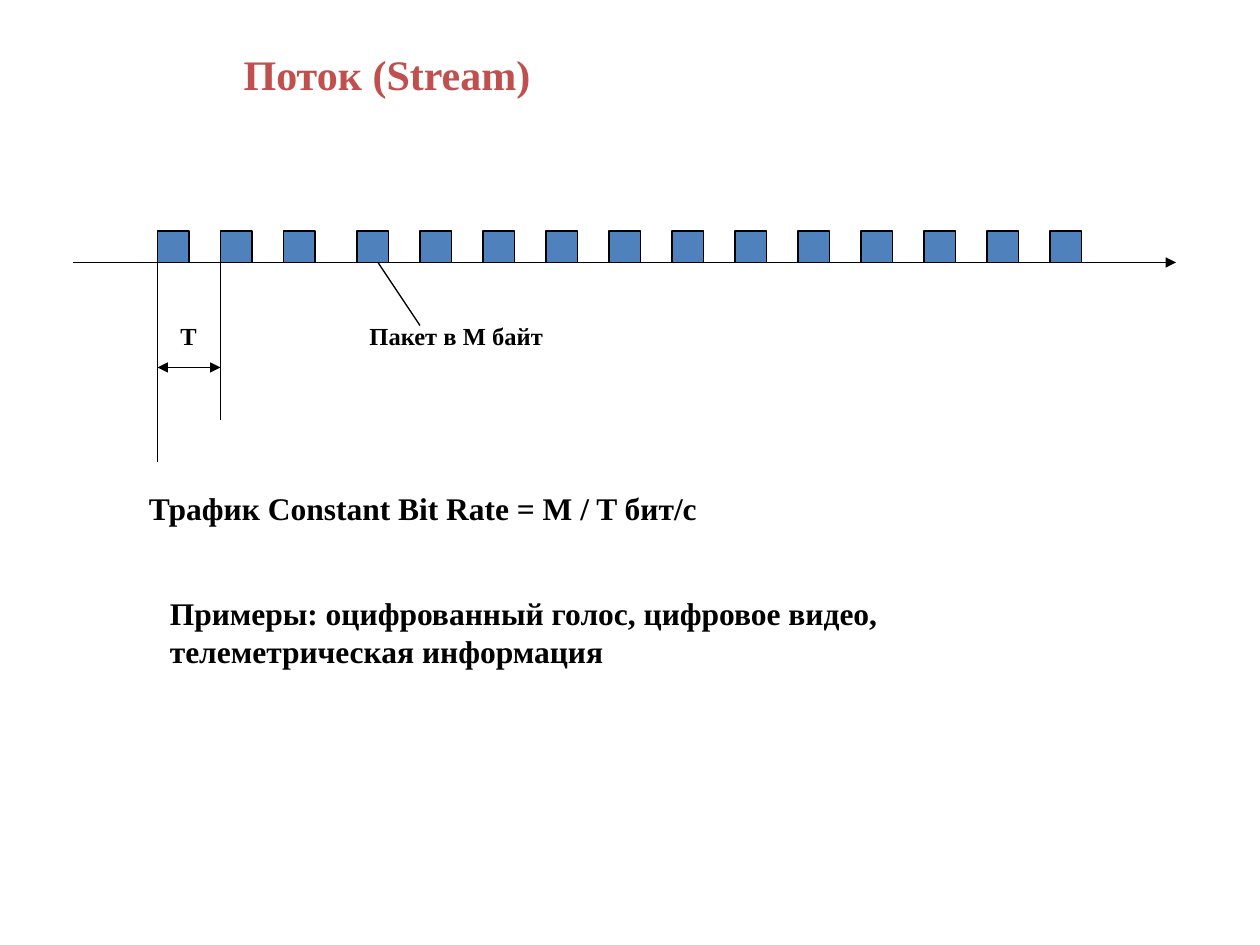
"""Build the slide on a constant bit rate packet stream."""
from lxml.etree import SubElement
from pptx import Presentation
from pptx.dml.color import RGBColor as Rgb
from pptx.enum.shapes import MSO_CONNECTOR as Link, MSO_SHAPE as Kind
from pptx.enum.text import MSO_ANCHOR as Anchor, MSO_AUTO_SIZE as Auto, PP_ALIGN as Align
from pptx.oxml.ns import qn
from pptx.util import Pt

SCALE = 7620
HUES = {"title": "C0504D", "ink": "000000", "pack": "4F81BD"}
FONT = {"name": "Times New Roman", "bold": True}
FRAME = {"word_wrap": True, "auto_size": Auto.SHAPE_TO_FIT_TEXT,
         "vertical_anchor": Anchor.TOP}
LEFT, BASE, SIDE, STEP = 150, 250, 30, 60


def emu(*nums):
    return [num * SCALE for num in nums]


def apply(item, vals):
    for key, val in vals.items():
        setattr(item, key, val)


class Board:
    def __init__(self, deck):
        self.slide = deck.slides.add_slide(deck.slide_layouts[5])
        self.shapes = self.slide.shapes

    def stroke(self, line):
        line.color.rgb = Rgb.from_string(HUES["ink"])
        line.width = Pt(0.75)

    def fill_text(self, shape, text, size, hue="ink"):
        frame = shape.text_frame
        apply(frame, FRAME)
        frame.text = text
        para = frame.paragraphs[0]
        para.alignment = Align.LEFT
        apply(para.font, {**FONT, "size": Pt(size)})
        para.font.color.rgb = Rgb.from_string(HUES[hue])

    def title(self, text, size, *box):
        shape = self.shapes.title
        apply(shape, dict(zip(("left", "top", "width", "height"), emu(*box))))
        self.fill_text(shape, text, size, "title")

    def label(self, text, size, *box):
        self.fill_text(self.shapes.add_textbox(*emu(*box)), text, size)

    def pack(self, left):
        box = emu(left, BASE - SIDE, SIDE, SIDE)
        shape = self.shapes.add_shape(Kind.RECTANGLE, *box)
        shape.shadow.inherit = False
        shape.fill.solid()
        shape.fill.fore_color.rgb = Rgb.from_string(HUES["pack"])
        self.stroke(shape.line)

    def line(self, *ends, tips=()):
        link = self.shapes.add_connector(Link.STRAIGHT, *emu(*ends))
        self.stroke(link.line)
        props = link.element.spPr
        for tip in tips:
            SubElement(props.find(qn("a:ln")), qn(f"a:{tip}"), type="triangle")
        SubElement(props, qn("a:effectLst"))


def main():
    deck = Presentation()
    deck.slide_width, deck.slide_height = emu(1200, 900)
    board = Board(deck)
    board.title("Поток (Stream)", 24, 220, 40, 780, 60)
    board.line(70, BASE, 1120, BASE, tips=["tailEnd"])
    for start, count in ((LEFT, 3), (340, 12)):
        for num in range(count):
            board.pack(start + num * STEP)
    board.line(LEFT, 240, LEFT, 440)
    board.line(LEFT + STEP, BASE, LEFT + STEP, 400)
    board.line(LEFT, 350, LEFT + STEP, 350, tips=["headEnd", "tailEnd"])
    board.line(400, 310, 360, BASE)
    for label in (
        ("T", 14, 160, 300, 50, 41),
        ("Пакет в M байт", 14, 340, 300, 260, 41),
        ("Трафик Constant Bit Rate = M / T бит/с", 18, 130, 460, 890, 48),
        ("Примеры: оцифрованный голос, цифровое видео, "
         "телеметрическая информация", 18, 150, 560, 890, 84),
    ):
        board.label(*label)
    deck.save("out.pptx")


if __name__ == "__main__":
    main()
